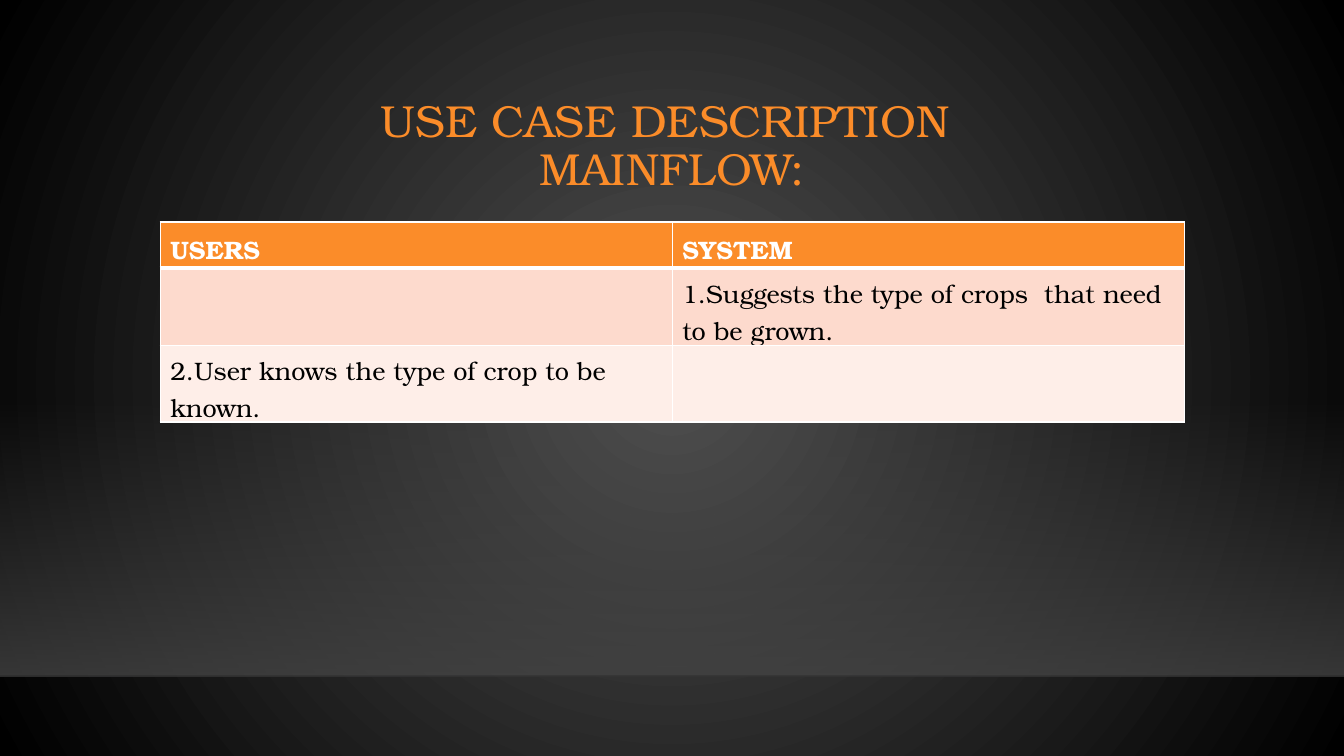
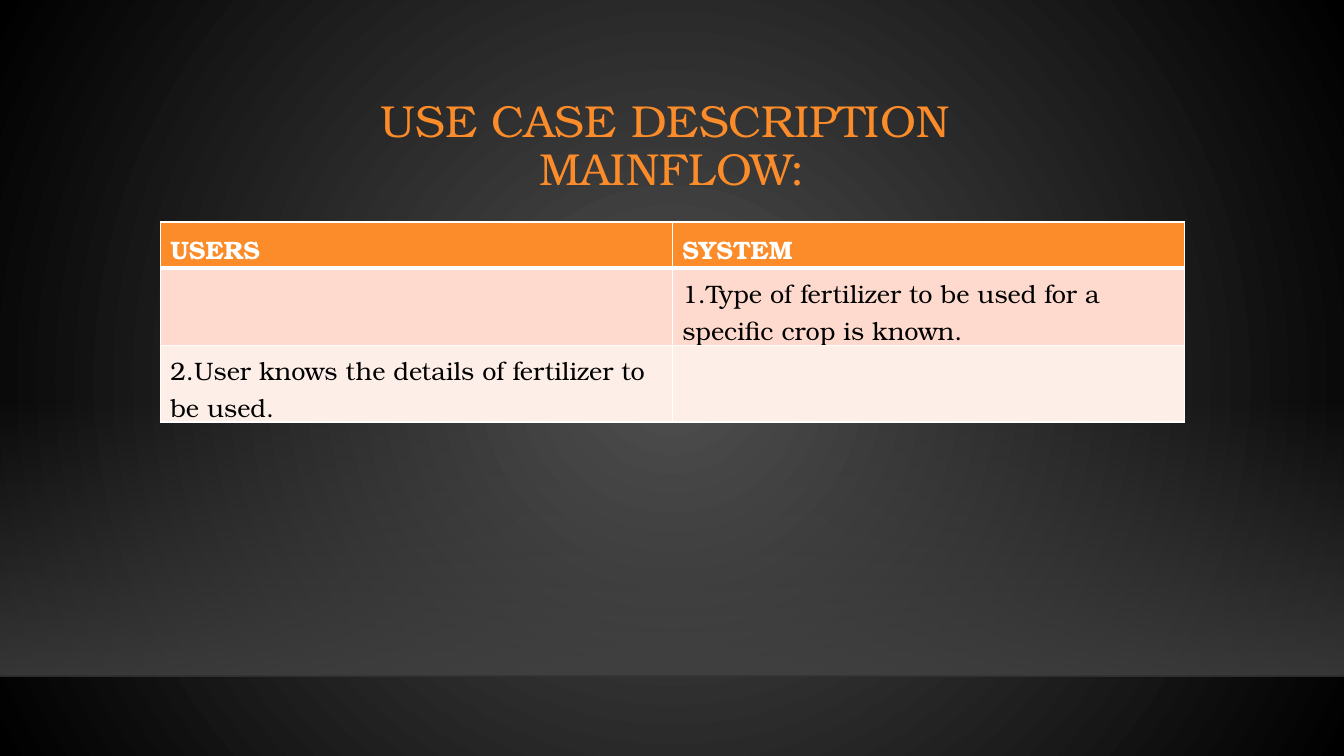
from lxml import etree
from pptx import Presentation
from pptx.dml.color import RGBColor
from pptx.enum import shapes, text
from pptx.oxml import ns
from pptx.util import Pt

ORANGE = RGBColor(0xFB, 0x8C, 0x29)
PINK = RGBColor(0xFD, 0xDA, 0xCD)
PALE_PINK = RGBColor(0xFE, 0xEE, 0xE8)
WHITE = RGBColor(0xFF, 0xFF, 0xFF)
BLACK = RGBColor(0, 0, 0)
NEAR_BLACK = RGBColor(0, 0, 1)
GRAY = RGBColor(0x50, 0x50, 0x50)
FLOOR_GRAY = RGBColor(0x45, 0x45, 0x45)

WIDTH, HEIGHT = 960, 540
FLOOR_TOP, FLOOR_EDGE = 285, 483
LEFT, CONTENT_WIDTH = 114.5, 731.5
TITLE_TOP, TITLE_HEIGHT = 63.5, 83
TABLE_TOP = 158.5
ROW_HEIGHTS = (33, 55, 55)
ROW_FILLS = (ORANGE, PINK, PALE_PINK)

FONT = "TeX Gyre Bonum"
TITLE_FORMAT = {"name": FONT, "size": Pt(32), "bold": False}
HEADER_FORMAT = {"name": FONT, "size": Pt(18), "bold": True}
BODY_FORMAT = {"name": FONT, "size": Pt(18), "bold": False}

TITLE = "USE CASE DESCRIPTION \vMAINFLOW:"
HEADERS = ("USERS", "SYSTEM")
FLOWS = (
    ("1.Suggests the type of crops  that need to be grown.",
     "2.User knows the type of crop to be known."),
    ("1.Type of fertilizer to be used for a specific crop is known.",
     "2.User knows the details of fertilizer to be used."),
)


def add_tag(parent, tag, **attributes):
    """Append a drawing element to the parent and return it."""
    return etree.SubElement(parent, ns.qn(tag), attributes)


def set_alpha(element, *percents):
    """Give each RGB colour inside the element its opacity."""
    for color, percent in zip(element.iter(ns.qn("a:srgbClr")), percents):
        add_tag(color, "a:alpha", val=str(percent * 1000))


def set_gradient(fill, *colors):
    """Fill with an even gradient between two colours."""
    fill.gradient()
    for stop, color in zip(fill.gradient_stops, colors):
        stop.color.rgb = color


def set_font(paragraph, values, color):
    """Apply the format values and the colour to a paragraph's font."""
    for key, value in values.items():
        setattr(paragraph.font, key, value)
    paragraph.font.color.rgb = color


class Deck:
    """Hold the presentation, its style and the current slide."""

    def __init__(self):
        """Start an empty widescreen presentation."""
        self.prs = Presentation()
        self.prs.slide_width, self.prs.slide_height = Pt(WIDTH), Pt(HEIGHT)
        self.slide = None

    def new_slide(self):
        """Add a blank slide with the shared backdrop."""
        self.slide = self.prs.slides.add_slide(self.prs.slide_layouts[6])
        self.spotlight()
        self.floor()

    def spotlight(self):
        """Light the background from the centre outwards."""
        set_gradient(self.slide.background.fill, GRAY, BLACK)
        gradient = self.slide.element.find(".//" + ns.qn("a:gradFill"))
        linear = gradient.find(ns.qn("a:lin"))
        circle = etree.Element(ns.qn("a:path"), {"path": "circle"})
        add_tag(circle, "a:fillToRect", **dict.fromkeys("ltrb", "50000"))
        gradient.replace(linear, circle)

    def floor(self):
        """Draw the fading floor and its edge."""
        floor = self.slide.shapes.add_shape(
            shapes.MSO_SHAPE.RECTANGLE, 0, Pt(FLOOR_TOP),
            Pt(WIDTH), Pt(FLOOR_EDGE - FLOOR_TOP))
        floor.shadow.inherit = False
        floor.line.fill.background()
        set_gradient(floor.fill, FLOOR_GRAY, FLOOR_GRAY)
        floor.fill.gradient_angle = 270
        set_alpha(floor.element.spPr, 0, 80)

        edge = self.slide.shapes.add_connector(
            shapes.MSO_CONNECTOR.STRAIGHT,
            0, Pt(FLOOR_EDGE), Pt(WIDTH), Pt(FLOOR_EDGE))
        edge.line.width = Pt(1)
        edge.line.color.rgb = NEAR_BLACK
        set_alpha(edge.element.spPr, 20)
        add_tag(edge.element.spPr, "a:effectLst")

    def title(self, words):
        """Write the centred slide title."""
        frame = self.slide.shapes.add_textbox(
            Pt(LEFT), Pt(TITLE_TOP), Pt(CONTENT_WIDTH), Pt(TITLE_HEIGHT)
        ).text_frame
        frame.word_wrap = True
        frame.vertical_anchor = text.MSO_ANCHOR.MIDDLE
        frame.text = words
        heading = frame.paragraphs[0]
        heading.alignment = text.PP_ALIGN.CENTER
        heading.line_spacing = 0.9
        set_font(heading, TITLE_FORMAT, ORANGE)

    def table(self, rows):
        """Lay out the rows under a coloured header."""
        table = self.slide.shapes.add_table(
            len(rows), len(rows[0]), Pt(LEFT), Pt(TABLE_TOP),
            Pt(CONTENT_WIDTH), Pt(sum(ROW_HEIGHTS))).table
        table.horz_banding = False
        for index, words in enumerate(rows):
            table.rows[index].height = Pt(ROW_HEIGHTS[index])
            for column, entry in enumerate(words):
                self.cell(table.cell(index, column), entry, index)

    def cell(self, cell, entry, row):
        """Write and colour one table cell."""
        is_header = row == 0
        cell.text = entry
        paragraph = cell.text_frame.paragraphs[0]
        paragraph.line_spacing = 1.1
        set_font(paragraph, HEADER_FORMAT if is_header else BODY_FORMAT,
                 WHITE if is_header else BLACK)
        widths = {"L": 1, "R": 1, "T": 3 if row == 1 else 1,
                  "B": 3 if is_header else 1}
        properties = cell._tc.get_or_add_tcPr()
        for side, width in widths.items():
            border = add_tag(properties, f"a:ln{side}", w=str(Pt(width)))
            add_tag(add_tag(border, "a:solidFill"), "a:srgbClr", val=str(WHITE))
        cell.fill.solid()
        cell.fill.fore_color.rgb = ROW_FILLS[row]


def main():
    """Build one slide for each main flow."""
    deck = Deck()
    for system_step, user_step in FLOWS:
        deck.new_slide()
        deck.title(TITLE)
        deck.table((HEADERS, ("", system_step), (user_step, "")))
    deck.prs.save("out.pptx")


if __name__ == "__main__":
    main()
